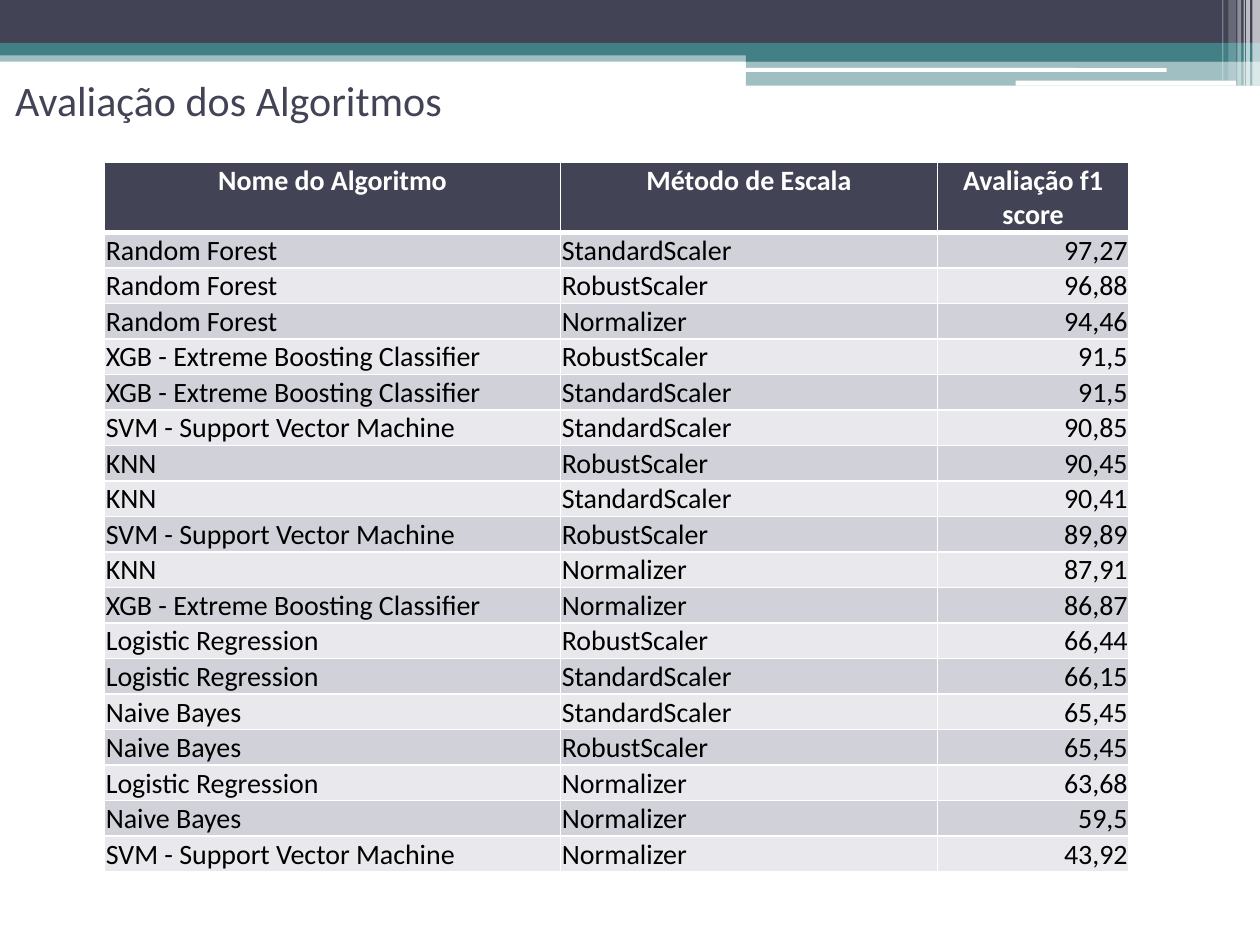
from lxml import etree
from pptx import Presentation
from pptx.dml.color import RGBColor
from pptx.enum.shapes import MSO_SHAPE
from pptx.enum.text import MSO_ANCHOR, PP_ALIGN
from pptx.oxml.ns import qn
from pptx.util import Inches, Pt

RECT, ROUND = MSO_SHAPE.RECTANGLE, MSO_SHAPE.ROUNDED_RECTANGLE
LEFT, CENTER, RIGHT = PP_ALIGN.LEFT, PP_ALIGN.CENTER, PP_ALIGN.RIGHT
TOP, MIDDLE, BOTTOM = MSO_ANCHOR.TOP, MSO_ANCHOR.MIDDLE, MSO_ANCHOR.BOTTOM
NAVY = RGBColor(0x42, 0x44, 0x56)
TEAL = RGBColor(0x43, 0x80, 0x86)
WHITE = RGBColor(0xFF, 0xFF, 0xFF)
BLACK = RGBColor(0, 0, 0)
BAND_DARK = RGBColor(0xD1, 0xD1, 0xDA)
BAND_LIGHT = RGBColor(0xE9, 0xE9, 0xED)
FONT = "Calibri"


def format_text(paragraph, size, color, bold, align):
    paragraph.alignment = align
    font = paragraph.runs[0].font
    font.name, font.size, font.bold = FONT, Pt(size), bold
    font.color.rgb = color


def add_border(cell, side, width):
    line = etree.SubElement(cell._tc.get_or_add_tcPr(), qn(f"a:{side}"), w=str(Pt(width)))
    fill = etree.SubElement(line, qn("a:solidFill"))
    etree.SubElement(fill, qn("a:srgbClr"), val=str(WHITE))


prs = Presentation()
prs.slide_width, prs.slide_height = Inches(10), Inches(7.5)
slide = prs.slides.add_slide(prs.slide_layouts[5])

header_bands = [
    (RECT, 0, 0.4, 10, 0.09, TEAL, 50),
    (RECT, 0, 0, 10, 0.34, NAVY, 100),
    (RECT, 0, 0.34, 10, 0.1, TEAL, 100),
    (RECT, 5.92, 0.39, 4.08, 0.1, TEAL, 100),
    (RECT, 5.92, 0.48, 4.08, 0.2, TEAL, 50),
    (ROUND, 5.91, 0.54, 3.35, 0.03, WHITE, 100),
    (ROUND, 8.06, 0.64, 1.75, 0.04, WHITE, 100),
    (RECT, 9.94, 0, 0.06, 0.68, WHITE, 65),
    (RECT, 9.89, 0, 0.03, 0.68, WHITE, 65),
    (RECT, 9.87, 0, 0.01, 0.68, WHITE, 60),
    (RECT, 9.82, 0, 0.03, 0.68, WHITE, 40),
    (RECT, 9.75, 0, 0.06, 0.64, WHITE, 20),
    (RECT, 9.7, 0, 0.01, 0.64, WHITE, 30),
]
for preset, left, top, width, height, color, opacity in header_bands:
    band = slide.shapes.add_shape(preset, Inches(left), Inches(top), Inches(width), Inches(height))
    band.shadow.inherit = False
    band.line.fill.background()
    band.fill.solid()
    band.fill.fore_color.rgb = color
    if opacity < 100:
        rgb = band.fill._xPr.find(f".//{qn('a:srgbClr')}")
        etree.SubElement(rgb, qn("a:alpha"), val=str(opacity * 1000))

title = slide.shapes.title
title.left, title.top, title.width, title.height = Inches(0.02), Inches(0.21), Inches(9), Inches(1.17)
title.text_frame.text = "Avaliação dos Algoritmos"
title.text_frame.vertical_anchor = MIDDLE
format_text(title.text_frame.paragraphs[0], 24, NAVY, False, LEFT)

FOREST, XGB, SVM = "Random Forest", "XGB - Extreme Boosting Classifier", "SVM - Support Vector Machine"
KNN, LOGISTIC, BAYES = "KNN", "Logistic Regression", "Naive Bayes"
STANDARD, ROBUST, NORMALIZER = "StandardScaler", "RobustScaler", "Normalizer"
results = [
    ("Nome do Algoritmo", "Método de Escala", "Avaliação f1 score"),
    (FOREST, STANDARD, "97,27"),
    (FOREST, ROBUST, "96,88"),
    (FOREST, NORMALIZER, "94,46"),
    (XGB, ROBUST, "91,5"),
    (XGB, STANDARD, "91,5"),
    (SVM, STANDARD, "90,85"),
    (KNN, ROBUST, "90,45"),
    (KNN, STANDARD, "90,41"),
    (SVM, ROBUST, "89,89"),
    (KNN, NORMALIZER, "87,91"),
    (XGB, NORMALIZER, "86,87"),
    (LOGISTIC, ROBUST, "66,44"),
    (LOGISTIC, STANDARD, "66,15"),
    (BAYES, STANDARD, "65,45"),
    (BAYES, ROBUST, "65,45"),
    (LOGISTIC, NORMALIZER, "63,68"),
    (BAYES, NORMALIZER, "59,5"),
    (SVM, NORMALIZER, "43,92"),
]
scores = slide.shapes.add_table(
    len(results), 3, Inches(0.83), Inches(1.29), Inches(8.13), Inches(5.62)
).table
for column, width in zip(scores.columns, (3.62, 2.99, 1.52)):
    column.width = Inches(width)

for r, values in enumerate(results):
    is_header = r == 0
    scores.rows[r].height = Inches(0.54) if is_header else Inches(5.08 / 18)
    for c, value in enumerate(values):
        cell = scores.cell(r, c)
        cell.text_frame.text = value
        cell.margin_left = cell.margin_right = cell.margin_top = Inches(0.01)
        cell.margin_bottom = 0
        cell.vertical_anchor = TOP if is_header else BOTTOM
        for side in ("lnL", "lnR", "lnT", "lnB"):
            under_header = (r, side) in ((0, "lnB"), (1, "lnT"))
            add_border(cell, side, 3 if under_header else 1)
        cell.fill.solid()
        if is_header:
            cell.fill.fore_color.rgb = NAVY
            align = CENTER
        else:
            cell.fill.fore_color.rgb = BAND_DARK if r % 2 else BAND_LIGHT
            align = RIGHT if c == 2 else LEFT
        format_text(cell.text_frame.paragraphs[0], 16, WHITE if is_header else BLACK, is_header, align)

prs.save("out.pptx")
